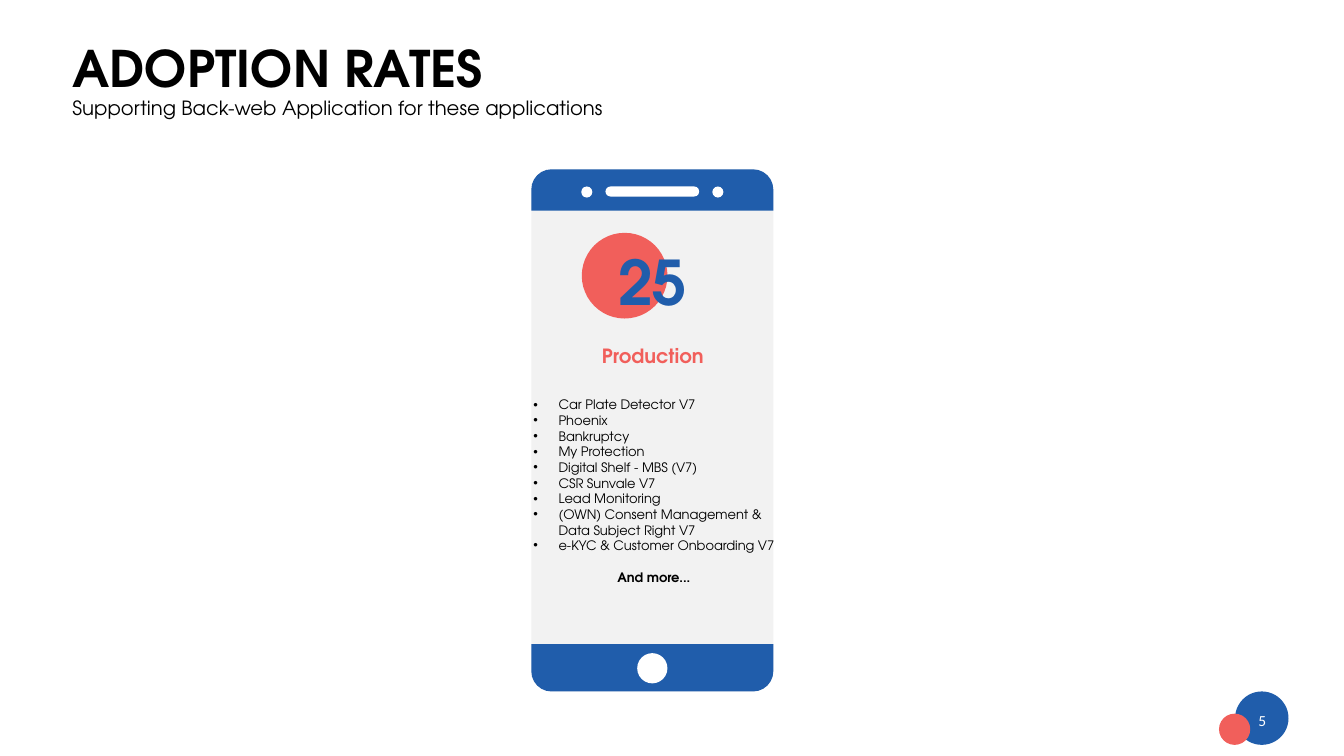
from pptx import Presentation
from pptx.dml.color import RGBColor
from pptx.enum.shapes import MSO_SHAPE
from pptx.enum.text import MSO_ANCHOR, PP_ALIGN
from pptx.oxml import parse_xml
from pptx.oxml.ns import nsdecls
from pptx.util import Inches, Pt

BLUE = RGBColor(0x20, 0x5D, 0xAB)
CORAL = RGBColor(0xF1, 0x5F, 0x5B)
GREY = RGBColor(0xF2, 0xF2, 0xF2)
WHITE = RGBColor(0xFF, 0xFF, 0xFF)
BLACK = RGBColor(0, 0, 0)
FONT = "TeX Gyre Adventor"

TITLE = "ADOPTION RATES"
SUBTITLE = "Supporting Back-web Application for these applications"
COUNT, STAGE, MORE, PAGE = "25", "Production", "And more...", "5"
APPLICATIONS = [
    "Car Plate Detector V7",
    "Phoenix",
    "Bankruptcy",
    "My Protection",
    "Digital Shelf - MBS (V7)",
    "CSR Sunvale V7",
    "Lead Monitoring",
    "(OWN) Consent Management & Data Subject Right V7",
    "e-KYC & Customer Onboarding V7",
]

PHONE_X, PHONE_Y, PHONE_W, PHONE_H = 5.27, 1.68, 2.4, 5.18
TOP_H, BOTTOM_H, CORNER = 0.41, 0.47, 0.2
MIDDLE = PHONE_X + PHONE_W / 2
LIST_SIZE = 9.3

prs = Presentation()
prs.slide_width, prs.slide_height = Inches(13.33), Inches(7.5)
s = prs.slides.add_slide(prs.slide_layouts[6])


def add_solid(kind, x, y, w, h, color, adjustments=()):
    sp = s.shapes.add_shape(kind, Inches(x), Inches(y), Inches(w), Inches(h))
    sp.shadow.inherit = False
    sp.fill.solid()
    sp.fill.fore_color.rgb = color
    sp.line.fill.background()
    for i, value in enumerate(adjustments):
        sp.adjustments[i] = value


def add_circle(x, y, size, color):
    add_solid(MSO_SHAPE.OVAL, x, y, size, size, color)


def add_frame(x, y, w, h, inset=0.0):
    """Add a wrapping, vertically centred text box and return its text frame."""
    tf = s.shapes.add_textbox(Inches(x), Inches(y), Inches(w), Inches(h)).text_frame
    tf.word_wrap = True
    tf.vertical_anchor = MSO_ANCHOR.MIDDLE
    tf.margin_left = tf.margin_right = Inches(inset)
    tf.margin_top = tf.margin_bottom = Inches(inset / 2)
    return tf


def write(p, text, size, color=BLACK, bold=False, font=FONT, align=PP_ALIGN.CENTER):
    p.alignment = align
    r = p.add_run()
    r.text = text
    r.font.name, r.font.size, r.font.bold = font, Pt(size), bold
    r.font.color.rgb = color


def add_bullet(p):
    pPr = p._p.get_or_add_pPr()
    pPr.set("marL", str(Inches(0.25)))
    pPr.set("indent", str(-Inches(0.25)))
    pPr.append(parse_xml(f'<a:buFont {nsdecls("a")} typeface="Arial"/>'))
    pPr.append(parse_xml(f'<a:buChar {nsdecls("a")} char="•"/>'))


# Heading
p = add_frame(0.62, 0.28, 12.08, 1.06, inset=0.1).paragraphs[0]
p.line_spacing = 0.9
write(p, TITLE, 36, bold=True, align=PP_ALIGN.LEFT)
p.add_line_break()
write(p, SUBTITLE, 14, align=PP_ALIGN.LEFT)

# Page number
add_circle(12.25, 6.86, 0.53, BLUE)
add_circle(12.09, 7.08, 0.31, CORAL)
write(add_frame(12.32, 6.95, 0.4, 0.4).paragraphs[0], PAGE, 11, WHITE, font="Calibri")

# Phone
add_solid(MSO_SHAPE.ROUNDED_RECTANGLE, PHONE_X, PHONE_Y, PHONE_W, PHONE_H, GREY,
          [CORNER / PHONE_W])
add_solid(MSO_SHAPE.ROUND_2_SAME_RECTANGLE, PHONE_X, PHONE_Y, PHONE_W, TOP_H, BLUE,
          [CORNER / TOP_H, 0])
add_solid(MSO_SHAPE.ROUND_2_SAME_RECTANGLE, PHONE_X, PHONE_Y + PHONE_H - BOTTOM_H,
          PHONE_W, BOTTOM_H, BLUE, [0, CORNER / BOTTOM_H])
add_solid(MSO_SHAPE.ROUNDED_RECTANGLE, MIDDLE - 0.465, 1.85, 0.93, 0.1, WHITE, [0.5])
for offset in (-0.65, 0.65):
    add_circle(MIDDLE + offset - 0.055, 1.85, 0.11, WHITE)
add_circle(MIDDLE - 0.15, 6.48, 0.3, WHITE)

# Phone screen
add_circle(5.77, 2.31, 0.85, CORAL)
write(add_frame(5.58, 2.42, 1.79, 0.74).paragraphs[0], COUNT, 44, BLUE, bold=True)
write(add_frame(5.58, 3.41, 1.79, 0.24).paragraphs[0], STAGE, 14, CORAL, bold=True)

tf = add_frame(5.29, 3.85, 2.39, 2.04)
for i, name in enumerate(APPLICATIONS):
    p = tf.add_paragraph() if i else tf.paragraphs[0]
    write(p, name, LIST_SIZE, align=PP_ALIGN.LEFT)
    add_bullet(p)
p = tf.add_paragraph()
p.space_before = Pt(11.3)
write(p, MORE, LIST_SIZE, bold=True)

prs.save("out.pptx")
